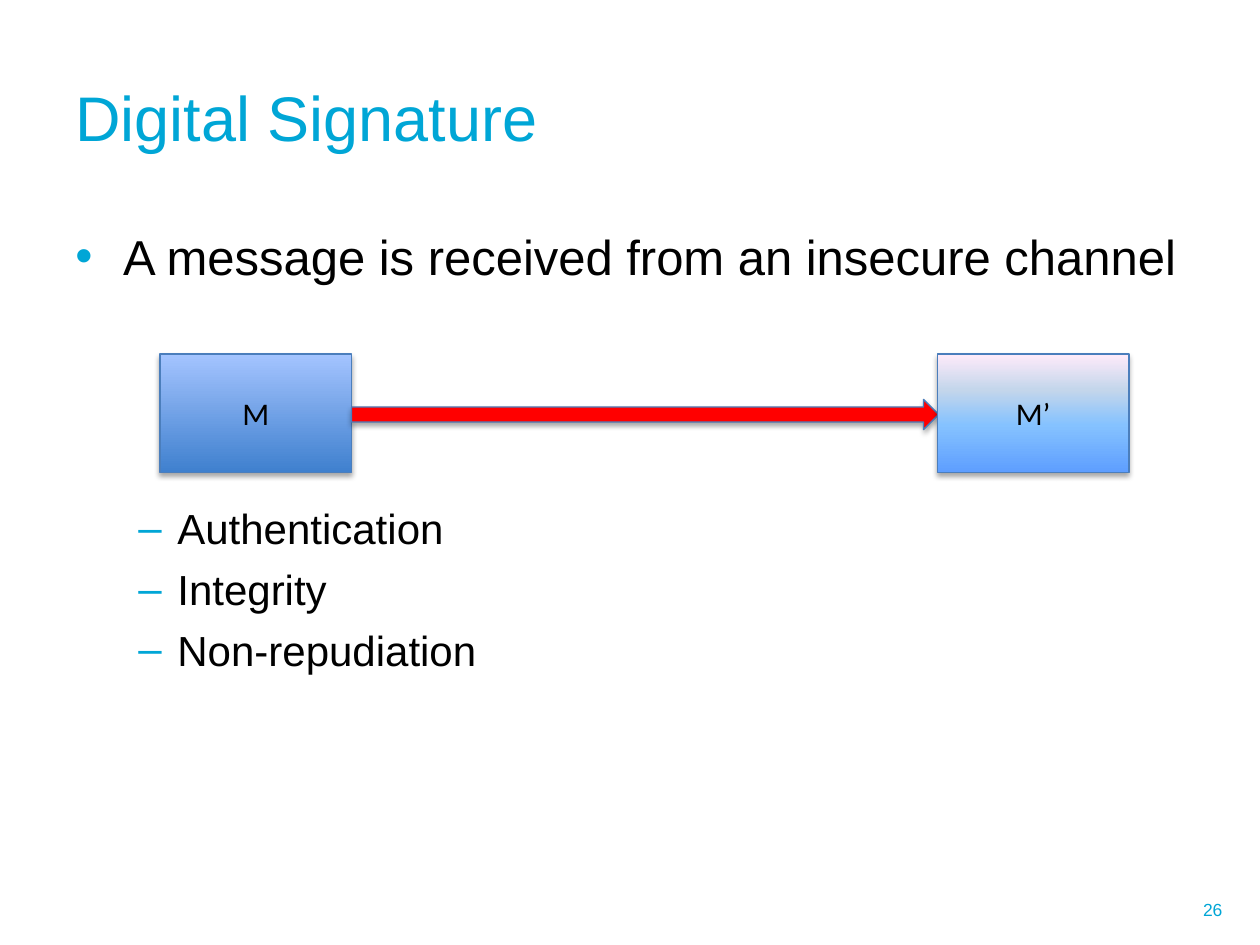
from dataclasses import dataclass

from lxml.etree import SubElement
from pptx import Presentation
from pptx.dml.color import RGBColor
from pptx.enum.shapes import MSO_SHAPE as Shape
from pptx.enum.text import MSO_ANCHOR as Anchor, PP_ALIGN as Align
from pptx.oxml.ns import qn
from pptx.util import Inches, Pt

WIDTH, HEIGHT = Inches(10), Inches(7.5)
CYAN = RGBColor(0x00, 0xA6, 0xD6)
BLACK = RGBColor(0x00, 0x00, 0x00)
RED = RGBColor(0xFF, 0x00, 0x00)
STEEL = RGBColor(0x4B, 0x7E, 0xBC)
BLUES = ((0, RGBColor(0x3F, 0x80, 0xCE)), (100, RGBColor(0xA4, 0xC4, 0xFF)))
PASTELS = (
    (0, RGBColor(0x5E, 0x9E, 0xFF)),
    (40, RGBColor(0x85, 0xC2, 0xFF)),
    (70, RGBColor(0xC4, 0xD6, 0xEB)),
    (100, RGBColor(0xFF, 0xEB, 0xFA)),
)


@dataclass(frozen=True)
class Box:
    """Place and size as shares of the slide."""
    x: float
    y: float
    w: float
    h: float

    def emu(self) -> tuple[int, ...]:
        """Return the box in slide units."""
        return (int(self.x * WIDTH), int(self.y * HEIGHT),
                int(self.w * WIDTH), int(self.h * HEIGHT))


@dataclass(frozen=True)
class Level:
    """Format of one bullet level."""
    mark: str
    size: int
    margin: float
    hang: float


@dataclass(frozen=True)
class Item:
    """One bullet line with the points of space above it."""
    text: str
    level: Level
    before: float


@dataclass(frozen=True)
class Node:
    """One message box of the channel diagram."""
    text: str
    box: Box
    stops: tuple


POINT = Level("•", 28, 0.38, 0.38)
DASH = Level("–", 24, 0.81, 0.31)
ITEMS = (
    Item("A message is received from an insecure channel", POINT, 5.6),
    Item("Authentication", DASH, 124),
    Item("Integrity", DASH, 6),
    Item("Non-repudiation", DASH, 6),
)
TITLE = Box(0.05, 0.04, 0.914, 0.167)
BODY = Box(0.05, 0.2333, 0.914, 0.66)
NUMBER = Box(0.727, 0.936, 0.253, 0.0533)
NODES = (
    Node("M", Box(0.127, 0.3747, 0.152, 0.1253), BLUES),
    Node("M’", Box(0.744, 0.3747, 0.152, 0.1253), PASTELS),
)
CHANNEL = Box(0.279, 0.4227, 0.466, 0.032)


def add_run(p, text: str, size: int, color: RGBColor, name: str = "Arial") -> None:
    """Add a formatted run to a paragraph."""
    r = p.add_run()
    r.text = text
    for key, value in {"size": Pt(size), "name": name}.items():
        setattr(r.font, key, value)
    r.font.color.rgb = color


def add_text(s, box: Box, anchor):
    """Add a wrapping text box and return its text frame."""
    tf = s.shapes.add_textbox(*box.emu()).text_frame
    for key, value in {"word_wrap": True, "vertical_anchor": anchor}.items():
        setattr(tf, key, value)
    return tf


def add_item(p, item: Item) -> None:
    """Fill a paragraph with a bulleted line."""
    level = item.level
    p.space_before = Pt(item.before)
    pPr = p._p.get_or_add_pPr()
    pPr.set("marL", str(Inches(level.margin)))
    pPr.set("indent", str(-Inches(level.hang)))
    color = SubElement(pPr, qn("a:buClr"))
    SubElement(color, qn("a:srgbClr"), val=str(CYAN))
    SubElement(pPr, qn("a:buFont"), typeface="Arial")
    SubElement(pPr, qn("a:buChar"), char=level.mark)
    add_run(p, item.text, level.size, BLACK)


def add_shadowed(s, kind, box: Box):
    """Add an outlined shape with a soft shadow below it."""
    sp = s.shapes.add_shape(kind, *box.emu())
    sp.line.color.rgb = STEEL
    sp.line.width = Pt(0.75)
    sp.shadow.inherit = False
    effects = sp._element.spPr.find(qn("a:effectLst"))
    shadow = SubElement(effects, qn("a:outerShdw"), blurRad=str(Pt(3.1)),
                        dist=str(Pt(1.8)), dir="5400000", rotWithShape="0")
    color = SubElement(shadow, qn("a:srgbClr"), val=str(BLACK))
    SubElement(color, qn("a:alpha"), val="35000")
    return sp


def add_node(s, node: Node) -> None:
    """Add a message box with an upward gradient."""
    sp = add_shadowed(s, Shape.RECTANGLE, node.box)
    sp.fill.gradient()
    sp.fill.gradient_angle = 90
    stops = sp._element.spPr.find(qn("a:gradFill")).find(qn("a:gsLst"))
    for old in list(stops):
        stops.remove(old)
    for share, color in node.stops:
        stop = SubElement(stops, qn("a:gs"), pos=str(share * 1000))
        SubElement(stop, qn("a:srgbClr"), val=str(color))
    tf = sp.text_frame
    tf.vertical_anchor = Anchor.MIDDLE
    p = tf.paragraphs[0]
    p.alignment = Align.CENTER
    add_run(p, node.text, 18, BLACK, "Calibri")


def main() -> None:
    """Build the slide and save it."""
    prs = Presentation()
    prs.slide_width, prs.slide_height = WIDTH, HEIGHT
    s = prs.slides.add_slide(prs.slide_layouts[6])
    p = add_text(s, NUMBER, Anchor.MIDDLE).paragraphs[0]
    p.alignment = Align.RIGHT
    add_run(p, "26", 10, CYAN)
    add_run(add_text(s, TITLE, Anchor.MIDDLE).paragraphs[0],
            "Digital Signature", 36, CYAN)
    tf = add_text(s, BODY, Anchor.TOP)
    for i, item in enumerate(ITEMS):
        add_item(tf.add_paragraph() if i else tf.paragraphs[0], item)
    sender, receiver = NODES
    add_node(s, sender)
    arrow = add_shadowed(s, Shape.RIGHT_ARROW, CHANNEL)
    arrow.fill.solid()
    arrow.fill.fore_color.rgb = RED
    add_node(s, receiver)
    prs.save("out.pptx")


if __name__ == "__main__":
    main()
